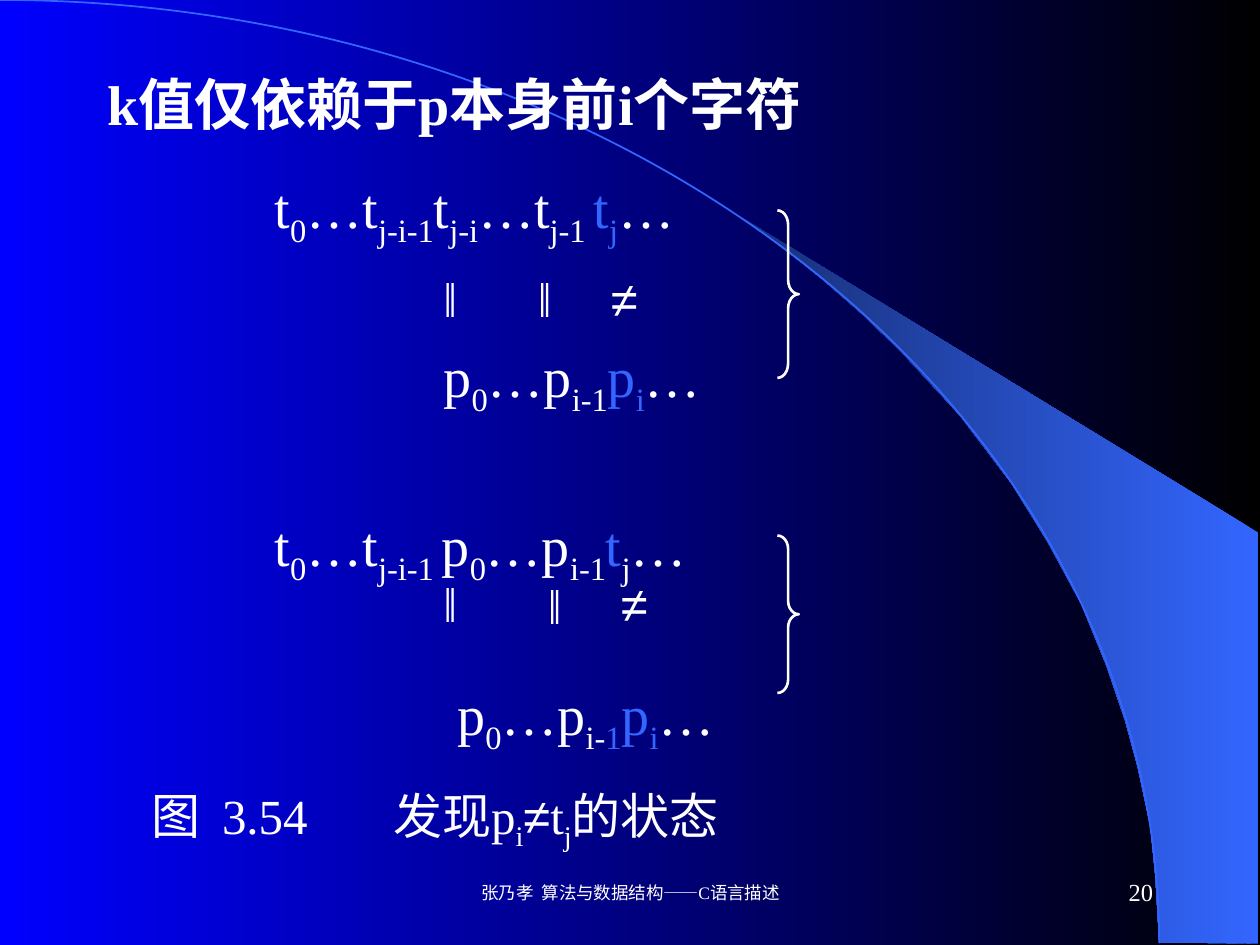
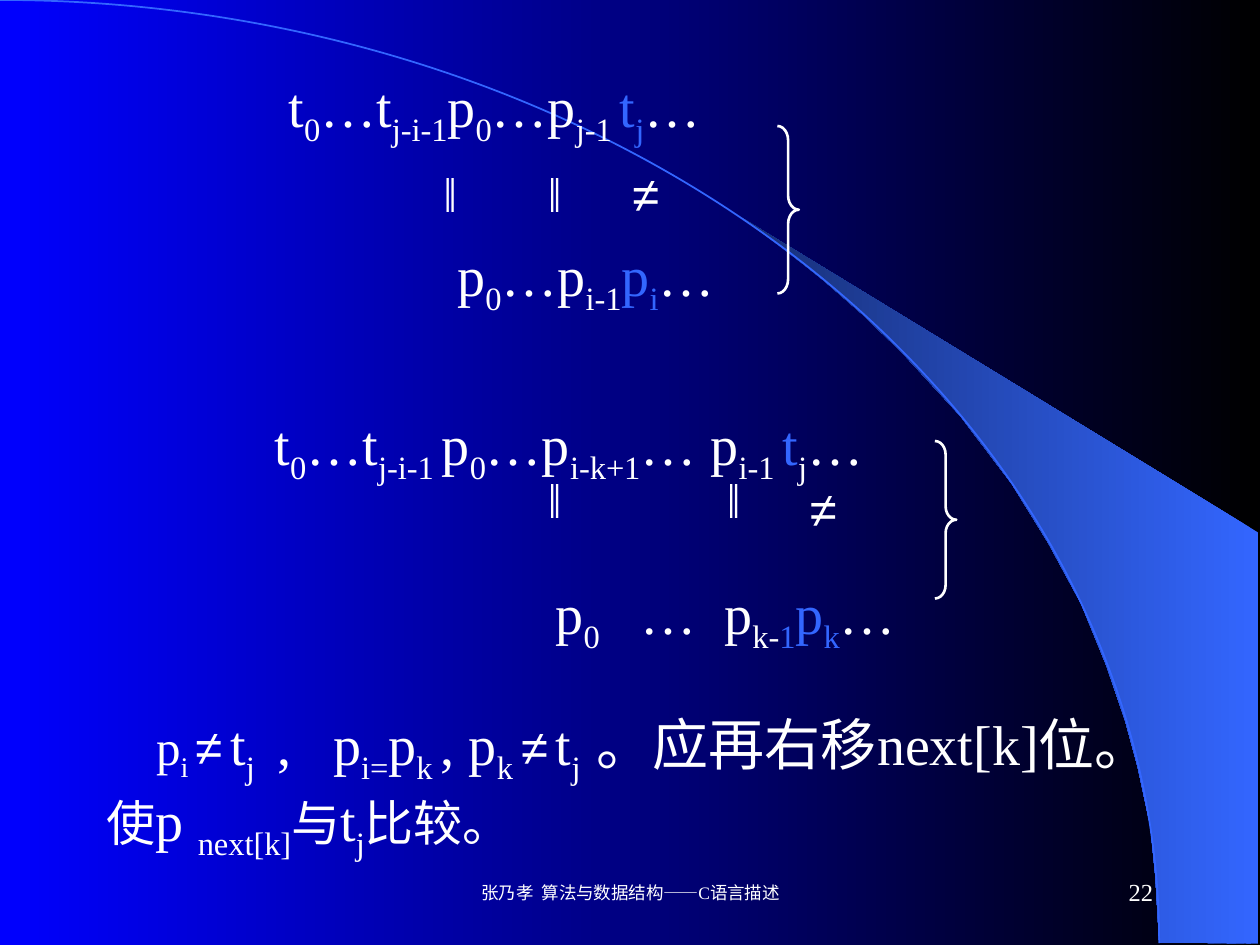
"""Build two slides on how the shift k in string matching depends on the pattern."""
from lxml import etree
from pptx import Presentation
from pptx import util as u
from pptx.dml.color import RGBColor
from pptx.enum import shapes, text
from pptx.oxml.ns import qn

BLACK = RGBColor(0x00, 0x00, 0x00)
BLUE = RGBColor(0x00, 0x00, 0xFF)
WHITE = RGBColor(0xFF, 0xFF, 0xFF)
ACCENT = RGBColor(0x33, 0x66, 0xFF)
DEEP = RGBColor(0x17, 0x2F, 0x75)
SERIF, SANS = "Times New Roman", "Arial"
FOOTER = "张乃孝  算法与数据结构——C语言描述"
BAND = [(9.2, 7.48), (9.99, 7.49), (9.99, 4.23), (5.89, 1.73), (6.24, 1.99),
        (6.53, 2.22), (6.85, 2.5), (7.16, 2.8), (7.62, 3.3), (8.03, 3.84),
        (8.32, 4.31), (8.58, 4.79), (8.78, 5.28), (8.93, 5.72), (9.03, 6.09),
        (9.13, 6.56), (9.17, 6.96)]


def gradient(fill, start, end):
    fill.gradient()
    fill.gradient_angle = 180
    for stop, color in zip(fill.gradient_stops, (start, end)):
        stop.color.rgb = color


class Deck:
    def __init__(self):
        self.prs = Presentation()
        self.prs.slide_width, self.prs.slide_height = u.Inches(10), u.Inches(7.5)
        gradient(self.prs.slide_master.background.fill, BLACK, BLUE)
        self.s = None

    def slide(self, number):
        self.s = self.prs.slides.add_slide(self.prs.slide_layouts[1])
        self.arc()
        self.band()
        self.label(FOOTER, 3.42, 6.83, 3.17, 0.5, 10, text.PP_ALIGN.CENTER)
        self.label(str(number), 7.17, 6.83, 2.08, 0.5, 14, text.PP_ALIGN.RIGHT)

    def to_back(self, sp):
        sp.shadow.inherit = False
        self.s.shapes.element.insert(2, sp.element)

    def band(self):
        points = [(u.Inches(x), u.Inches(y)) for x, y in BAND]
        fb = self.s.shapes.build_freeform(*points[0])
        fb.add_line_segments(points[1:])
        sp = fb.convert_to_shape()
        gradient(sp.fill, ACCENT, DEEP)
        sp.line.fill.background()
        self.to_back(sp)

    def outline(self, kind, box, color, width):
        sp = self.s.shapes.add_shape(kind, *map(u.Inches, box))
        sp.shadow.inherit = False
        sp.fill.background()
        sp.line.color.rgb = color
        sp.line.width = u.Pt(width)
        return sp

    def arc(self):
        box = (-9.2, 0, 18.4, 14.97)
        self.to_back(self.outline(shapes.MSO_SHAPE.ARC, box, ACCENT, 1))

    def brace(self, x, y, height):
        sp = self.outline(shapes.MSO_SHAPE.RIGHT_BRACE, (x, y, 0.17, height), WHITE, 1.5)
        sp.adjustments[0] = height / 2

    def place(self, sp, x, y, w, h):
        sp.left, sp.top, sp.width, sp.height = map(u.Inches, (x, y, w, h))
        tf = sp.text_frame
        tf.word_wrap = True
        tf.auto_size = text.MSO_AUTO_SIZE.NONE
        tf.vertical_anchor = text.MSO_ANCHOR.TOP
        return tf

    def style(self, r, size, color=WHITE, font=SERIF):
        r.font.size, r.font.name = u.Pt(size), font
        r.font.color.rgb = color

    def label(self, words, x, y, w, h, size, align=text.PP_ALIGN.LEFT, font=SERIF):
        tf = self.place(self.s.shapes.add_textbox(0, 0, 0, 0), x, y, w, h)
        tf.text = words
        tf.paragraphs[0].alignment = align
        if align != text.PP_ALIGN.LEFT:
            tf.vertical_anchor = text.MSO_ANCHOR.MIDDLE
        self.style(tf.paragraphs[0].runs[0], size, font=font)

    def title(self, words):
        tf = self.place(self.s.shapes.title, 0.75, 0.5, 8.33, 0.75)
        tf.text = words
        p = tf.paragraphs[0]
        p.alignment = text.PP_ALIGN.LEFT
        self.style(p.runs[0], 32)
        p.runs[0].font.bold = True

    def formula(self, p, markup, size=32):
        """Add runs split at |, where * is accent, _ is subscript and ^ is 28 pt."""
        for token in markup.split("|"):
            words = token.lstrip("*_^")
            marks = token[:len(token) - len(words)]
            r = p.add_run()
            r.text = words
            self.style(r, 28 if "^" in marks else size, ACCENT if "*" in marks else WHITE,
                       SANS if words == "≠" else SERIF)
            if "_" in marks:
                r.font._element.set("baseline", "-25000")

    def rows(self, top, height, lines):
        tf = self.place(self.s.placeholders[1], 0.75, top, 8.33, height)
        for i, (indent, before, size, markup) in enumerate(lines):
            p = tf.add_paragraph() if i else tf.paragraphs[0]
            p.line_spacing = u.Pt(40)
            p.space_before = u.Pt(before if i else 0)
            pPr = p._p.get_or_add_pPr()
            pPr.set("marL", str(u.Inches(indent)))
            pPr.set("indent", "0")
            etree.SubElement(pPr, qn("a:buNone"))
            self.formula(p, markup, size)

    def note(self, markup, x, y, w, h, indent):
        tf = self.place(self.s.shapes.add_textbox(0, 0, 0, 0), x, y, w, h)
        p = tf.paragraphs[0]
        p._p.get_or_add_pPr().set("indent", str(u.Inches(indent)))
        self.formula(p, markup)

    def marks(self, places):
        for sign, x, y in places:
            self.label(sign, x, y, 0.5, 0.57, 28, font=SANS if sign == "≠" else SERIF)


def main():
    gap = 56.6
    deck = Deck()

    deck.slide(20)
    deck.title("k值仅依赖于p本身前i个字符")
    deck.rows(1.37, 5.4, [
        (1.33, gap, 32, "t|_0|…t|_j-i-1|t|_j-i|…t|_j-1 |*t|*_j|…"),
        (2.67, gap, 32, "p|_0|…p|_i-1|*p|*_i|…"),
        (1.33, gap, 32, "t|_0|…t|_j-i-1 |p|_0|…p|_i-1|*t|_j|…"),
        (2.78, gap, 32, "p|_0|…p|_i-|*_1|*p|*_i|…"),
        (0.35, 15, 28, "图  3.54       发现p|_i|≠|t|_j|的状态")])
    deck.brace(6.17, 1.67, 1.33)
    deck.brace(6.17, 4.25, 1.25)
    deck.marks([("‖", 3.42, 2.08), ("‖", 4.17, 2.08), ("≠", 4.75, 2.08),
                ("‖", 3.42, 4.5), ("‖", 4.25, 4.52), ("≠", 4.83, 4.5)])

    deck.slide(22)
    title = deck.s.shapes.title.element
    title.getparent().remove(title)
    deck.rows(0.57, 5, [
        (1.44, gap, 32, "t|_0|…t|_j-i-1|p|_0|…p|_j-1 |*t|*_j|…"),
        (2.78, gap, 32, "p|_0|…p|_i-1|*p|*_i|…"),
        (1.33, gap, 32, "t|_0|…t|_j-i-1 |p|_0|…p|_i-k+1|… p|_i-1 |*t|_j|…"),
        (3.56, gap, 32, "p|_0     |…  p|_k-|*_1|*p|*_k|…")])
    deck.brace(6.17, 1, 1.33)
    deck.brace(7.42, 3.5, 1.25)
    deck.marks([("‖", 3.42, 1.25), ("‖", 4.25, 1.25), ("≠", 4.92, 1.25),
                ("‖", 4.25, 3.68), ("‖", 5.67, 3.68), ("≠", 6.33, 3.75)])
    deck.note("^p|^_i |^≠|_ |t|_j | ,   p|_i=|p|_k |, p|_k |^≠|_ |t|_j  |"
              "。应再右移next[k]位。|^使|p |_next[k]|^与|t|_j|^比较。",
              0.75, 5.58, 8.42, 1.32, 0.39)

    deck.prs.save("out.pptx")


if __name__ == "__main__":
    main()
